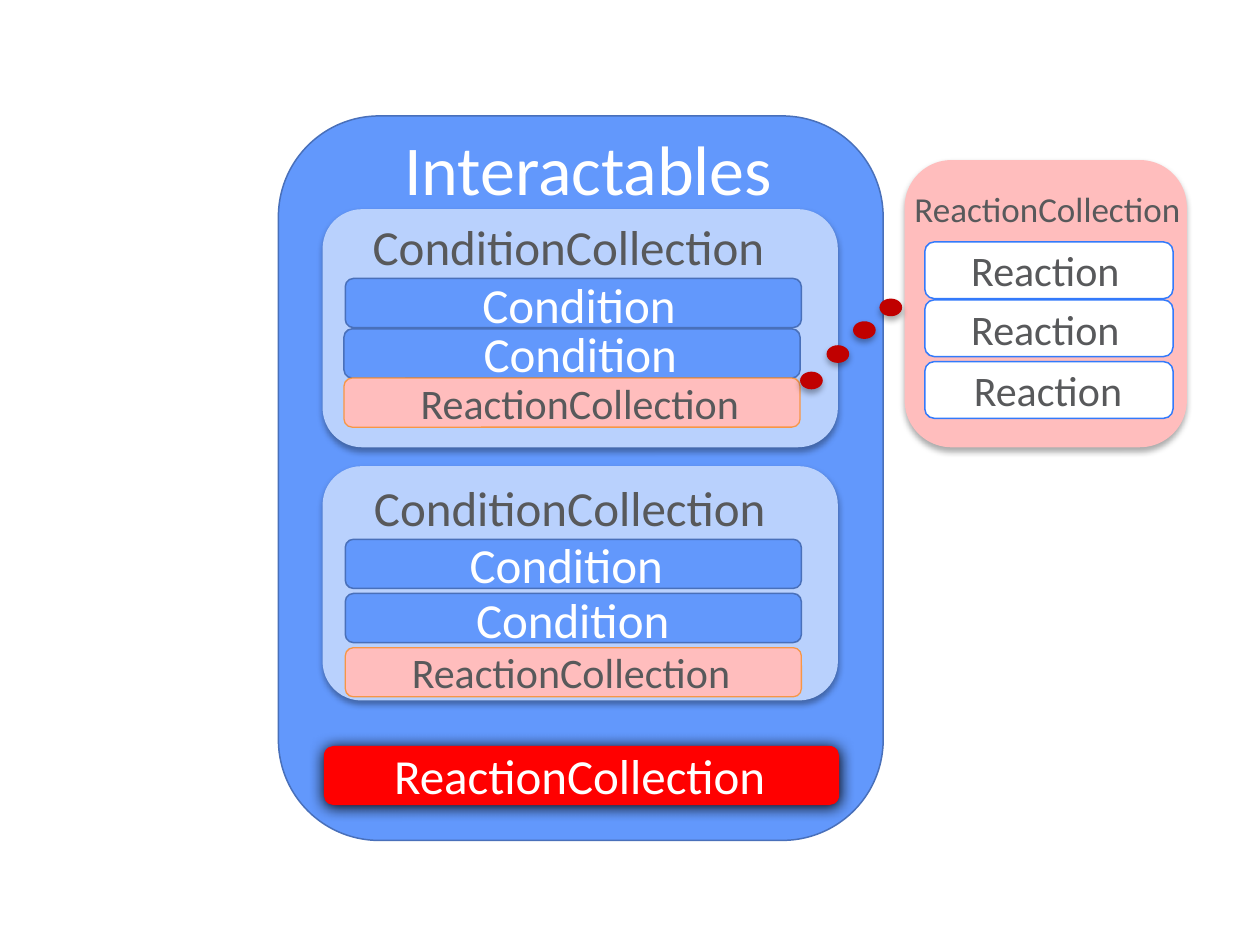
from dataclasses import dataclass
from typing import Optional

from lxml.etree import SubElement
from pptx import Presentation
from pptx.dml.color import RGBColor
from pptx.enum.shapes import MSO_SHAPE as Shape
from pptx.enum.text import MSO_AUTO_SIZE as AutoSize, MSO_ANCHOR as Anchor, PP_ALIGN as Align
from pptx.oxml.ns import qn
from pptx.util import Emu, Pt

PX = 9144  # 100 px to the inch
COLORS = {
    "blue": "6298FC", "blue_edge": "4970BA", "pale_blue": "B9D1FD",
    "pink": "FFBDBD", "orange": "F79646", "red": "FF0000",
    "dark_red": "C00000", "white": "FFFFFF", "bright_blue": "337AFB",
    "gray": "58595B", "black": "000000",
}


@dataclass(frozen=True)
class Shadow:
    opacity: int  # percent
    blur: float   # points
    distance: float


@dataclass(frozen=True)
class Style:
    fill: str
    edge: Optional[str] = None
    edge_width: float = 0.85
    shadow: Optional[Shadow] = None


@dataclass(frozen=True)
class Label:
    text: str
    left: int
    top: int
    width: int
    size: int
    color: str = "gray"
    wrap: bool = False


@dataclass(frozen=True)
class Bar:
    left: int
    top: int
    style: Style
    label: Label


@dataclass(frozen=True)
class Panel:
    left: int
    top: int
    width: int
    height: int
    style: Style
    title: Label
    bar_size: tuple[int, int] = (0, 0)
    bars: tuple[Bar, ...] = ()


SOFT = Shadow(32, 3.5, 2.2)
STRONG = Shadow(100, 8.5, 1)
FRAME = Style("blue", "blue_edge")
CONDITIONS = Style("pale_blue", shadow=SOFT)
REACTION_ROW = Style("pink", "orange", 0.75)
REACTIONS = Style("pink", shadow=SOFT)
REACTION = Style("white", "bright_blue")
DEFAULT = Style("red", shadow=STRONG)
DOT = Style("dark_red", shadow=SOFT)


def color(name: str) -> RGBColor:
    return RGBColor.from_string(COLORS[name])


def emu(*lengths: int) -> list[Emu]:
    return [Emu(length * PX) for length in lengths]


def add_shadow(shape, shadow: Shadow) -> None:
    effects = shape._element.spPr.find(qn("a:effectLst"))
    outer = SubElement(effects, qn("a:outerShdw"), {
        "blurRad": str(Pt(shadow.blur)), "dist": str(Pt(shadow.distance)),
        "dir": "5400000", "rotWithShape": "0"})
    tint = SubElement(outer, qn("a:srgbClr"), {"val": COLORS["black"]})
    SubElement(tint, qn("a:alpha"), {"val": str(shadow.opacity * 1000)})


def add_figure(page, kind: Shape, area: tuple[int, ...], style: Style) -> None:
    shape = page.shapes.add_shape(kind, *emu(*area))
    shape.shadow.inherit = False
    shape.fill.solid()
    shape.fill.fore_color.rgb = color(style.fill)
    if style.edge:
        shape.line.color.rgb = color(style.edge)
        shape.line.width = Pt(style.edge_width)
    else:
        shape.line.fill.background()
    if style.shadow:
        add_shadow(shape, style.shadow)


def add_label(page, label: Label) -> None:
    height = {20: 44, 24: 50, 28: 57, 40: 77}[label.size]
    box = page.shapes.add_textbox(*emu(label.left, label.top, label.width, height))
    frame_format = {"word_wrap": label.wrap, "vertical_anchor": Anchor.TOP,
                    "auto_size": AutoSize.SHAPE_TO_FIT_TEXT}
    for name, value in frame_format.items():
        setattr(box.text_frame, name, value)
    para = box.text_frame.paragraphs[0]
    para.alignment = Align.LEFT
    span = para.add_run()
    span.text = label.text
    for name, value in {"name": "Calibri", "size": Pt(label.size)}.items():
        setattr(span.font, name, value)
    span.font.color.rgb = color(label.color)


def add_panel(page, panel: Panel) -> None:
    area = (panel.left, panel.top, panel.width, panel.height)
    add_figure(page, Shape.ROUNDED_RECTANGLE, area, panel.style)
    for bar in panel.bars:
        add_figure(page, Shape.ROUNDED_RECTANGLE, (bar.left, bar.top, *panel.bar_size), bar.style)
    for label in (panel.title, *(bar.label for bar in panel.bars)):
        add_label(page, label)


def condition(left: int, top: int, text_left: int, text_top: int) -> Bar:
    return Bar(left, top, FRAME, Label("Condition", text_left, text_top, 176, 28, "white"))


def reaction_row(left: int, top: int, text_left: int, text_top: int) -> Bar:
    return Bar(left, top, REACTION_ROW,
               Label("ReactionCollection", text_left, text_top, 276, 24))


def reaction(top: int, text_left: int, text_top: int) -> Bar:
    return Bar(734, top, REACTION, Label("Reaction", text_left, text_top, 139, 24))


PANELS = (
    # Outer frame
    Panel(221, 92, 480, 575, FRAME,
          Label("Interactables", 311, 95, 343, 40, "white", wrap=True)),
    # Condition collections
    Panel(256, 166, 409, 189, CONDITIONS,
          Label("ConditionCollection", 286, 167, 350, 28, wrap=True), (362, 39),
          (condition(274, 221, 373, 213), condition(273, 261, 374, 252),
           reaction_row(273, 300, 324, 295))),
    Panel(256, 370, 409, 186, CONDITIONS,
          Label("ConditionCollection", 287, 374, 350, 28, wrap=True), (362, 39),
          (condition(274, 428, 363, 419), condition(274, 471, 368, 463),
           reaction_row(274, 514, 317, 508))),
    # Default reactions
    Panel(257, 592, 409, 47, DEFAULT,
          Label("ReactionCollection", 303, 587, 318, 28, "white")),
    # Expanded reaction collection
    Panel(718, 127, 224, 228, REACTIONS,
          Label("ReactionCollection", 716, 144, 234, 20), (197, 45),
          (reaction(192, 761, 189), reaction(238, 761, 236), reaction(287, 763, 284))),
)
DOT_TOPS = (295, 274, 255, 237)


def main() -> None:
    deck = Presentation()
    deck.slide_width, deck.slide_height = emu(1000, 750)
    page = deck.slides.add_slide(deck.slide_layouts[6])
    for panel in PANELS:
        add_panel(page, panel)
    # Dotted link from the row to its expanded view
    for index, top in enumerate(DOT_TOPS):
        add_figure(page, Shape.OVAL, (635 + 21 * index, top, 18, 14), DOT)
    deck.save("out.pptx")


if __name__ == "__main__":
    main()
